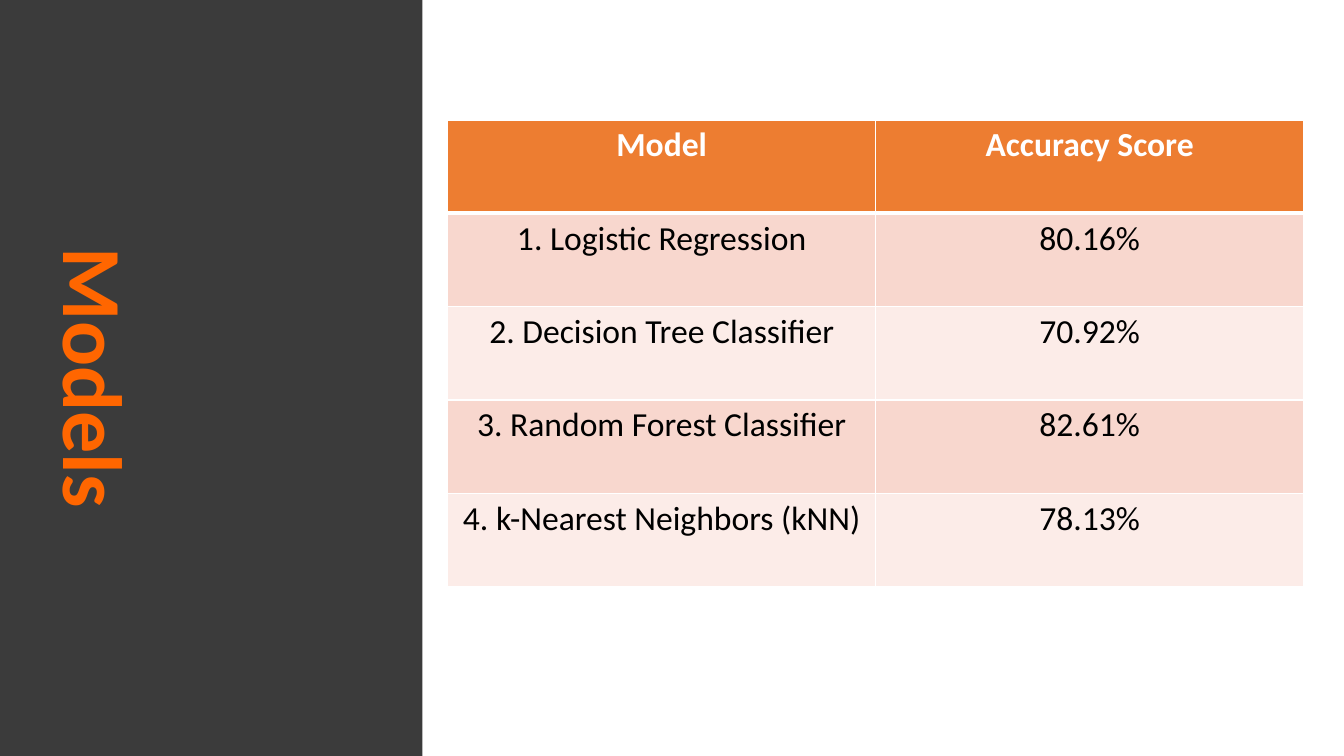
from lxml import etree
from pptx import Presentation
from pptx.dml.color import RGBColor
from pptx.enum.shapes import MSO_SHAPE
from pptx.enum.text import MSO_ANCHOR, PP_ALIGN
from pptx.oxml.ns import qn
from pptx.util import Inches, Pt

FONT = "Calibri"
WHITE = "FFFFFF"
HEADER_FILL = "ED7D31"
BAND_FILLS = ("F8D7CE", "FCECE8")
ROWS = [
    ("Model", "Accuracy Score"),
    ("1. Logistic Regression", "80.16%"),
    ("2. Decision Tree Classifier", "70.92%"),
    ("3. Random Forest Classifier", "82.61%"),
    ("4. k-Nearest Neighbors (kNN)", "78.13%"),
]


def color(value):
    return RGBColor.from_string(value)


def style_paragraph(paragraph, size, value, bold):
    paragraph.alignment = PP_ALIGN.CENTER
    paragraph.font.name = FONT
    paragraph.font.size = Pt(size)
    paragraph.font.bold = bold
    paragraph.font.color.rgb = color(value)


def set_borders(cell, widths):
    properties = cell._tc.get_or_add_tcPr()
    for position, (side, width) in enumerate(widths.items()):
        line = etree.Element(qn(f"a:ln{side}"), w=str(Pt(width)))
        fill = etree.SubElement(line, qn("a:solidFill"))
        etree.SubElement(fill, qn("a:srgbClr"), val=WHITE)
        properties.insert(position, line)


def add_title_panel(slide, left, top, width, height):
    panel = slide.shapes.add_shape(
        MSO_SHAPE.RECTANGLE,
        Inches(left + (width - height) / 2),
        Inches(top + (height - width) / 2),
        Inches(height),
        Inches(width),
    )
    panel.rotation = 90
    panel.shadow.inherit = False
    panel.fill.solid()
    panel.fill.fore_color.rgb = color("3B3B3B")
    panel.line.fill.background()
    frame = panel.text_frame
    frame.word_wrap = True
    frame.vertical_anchor = MSO_ANCHOR.BOTTOM
    frame.margin_bottom = Inches(0.45)
    paragraph = frame.paragraphs[0]
    paragraph.text = "Models"
    paragraph.line_spacing = 0.9
    style_paragraph(paragraph, 60, "FF6600", True)


def add_score_table(slide, left, top, width, height):
    table = slide.shapes.add_table(
        len(ROWS), len(ROWS[0]),
        Inches(left), Inches(top), Inches(width), Inches(height),
    ).table
    for row_index, texts in enumerate(ROWS):
        header = row_index == 0
        fill = HEADER_FILL if header else BAND_FILLS[(row_index - 1) % 2]
        for column_index, text in enumerate(texts):
            cell = table.cell(row_index, column_index)
            cell.fill.solid()
            cell.fill.fore_color.rgb = color(fill)
            top_width = 3 if row_index == 1 else 1
            bottom_width = 3 if header else 1
            set_borders(cell, {"L": 1, "R": 1, "T": top_width, "B": bottom_width})
            paragraph = cell.text_frame.paragraphs[0]
            paragraph.text = text
            style_paragraph(paragraph, 24, WHITE if header else "000000", header)


def build_models_slide(presentation):
    slide = presentation.slides.add_slide(presentation.slide_layouts[6])
    add_title_panel(slide, 0, 0, 4.19, 7.5)
    add_score_table(slide, 4.44, 1.19, 8.49, 4.63)


def main():
    presentation = Presentation()
    presentation.slide_width = Inches(13.33)
    presentation.slide_height = Inches(7.5)
    build_models_slide(presentation)
    presentation.save("out.pptx")


if __name__ == "__main__":
    main()
